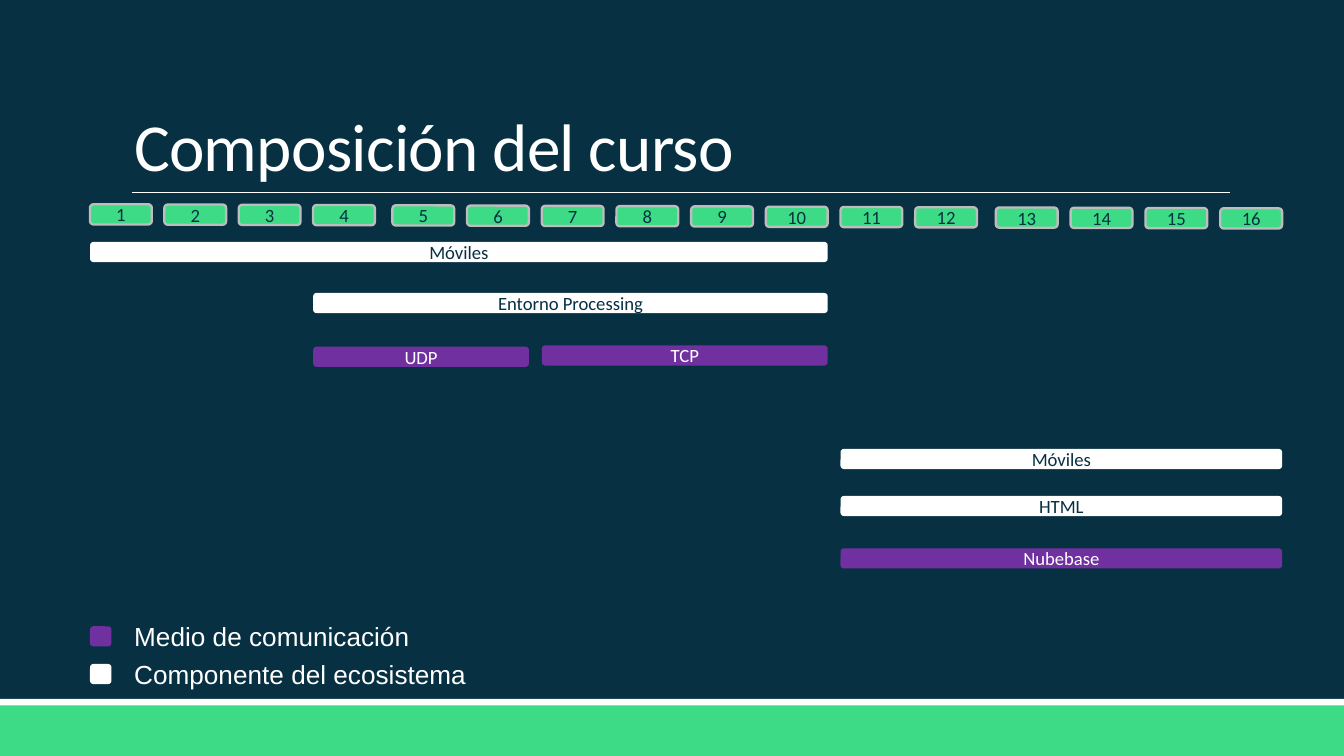
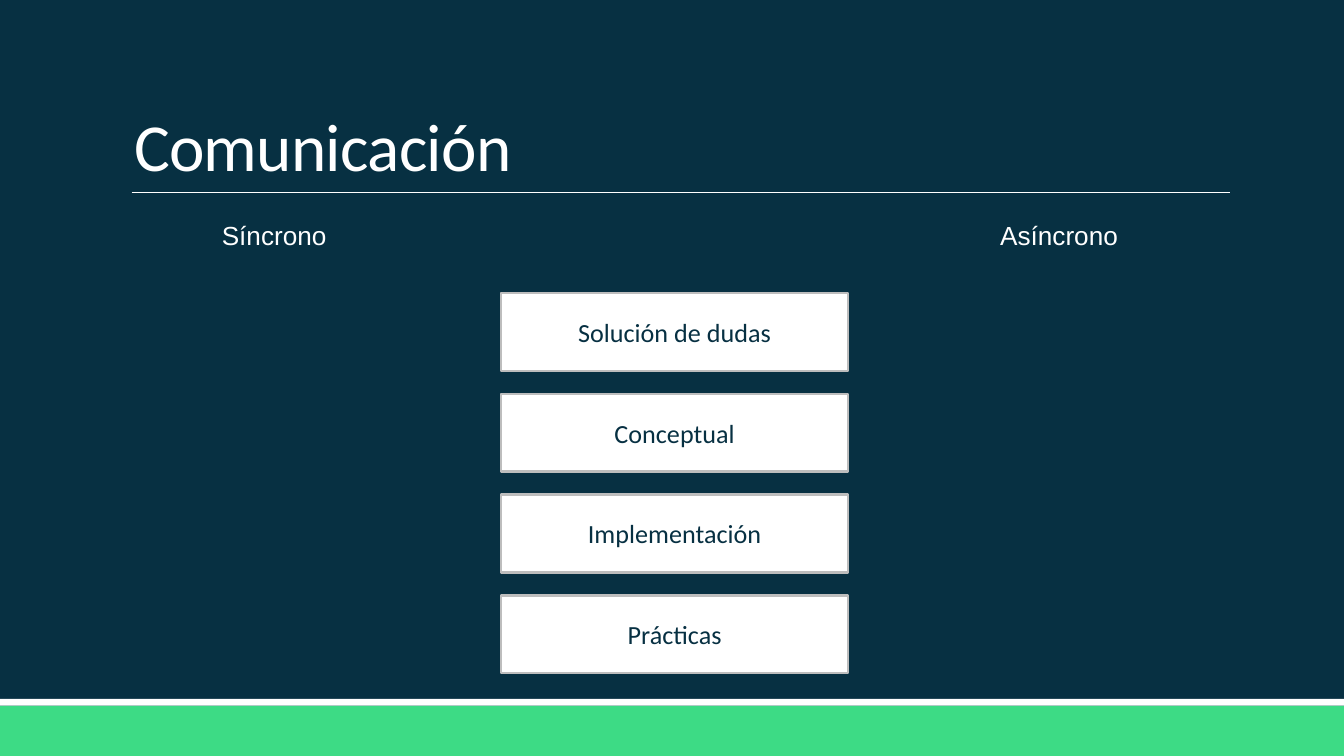
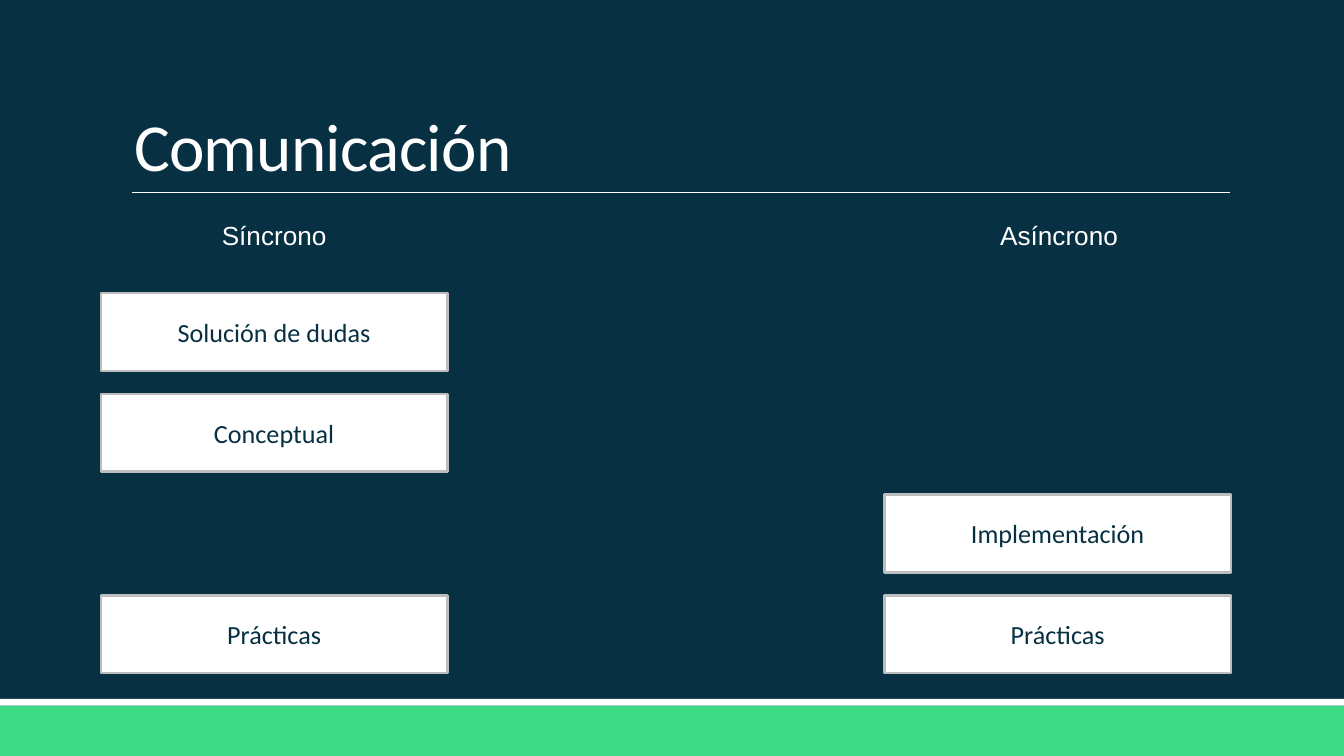
from pptx import Presentation
from pptx.dml.color import RGBColor
from pptx.enum.shapes import MSO_CONNECTOR, MSO_SHAPE
from pptx.enum.text import MSO_ANCHOR, MSO_AUTO_SIZE, PP_ALIGN
from pptx.oxml.ns import qn
from pptx.util import Inches, Pt
from lxml.etree import SubElement

WIDTH = 10
HEIGHT = WIDTH * 9 / 16
NAVY, GREEN, WHITE, PURPLE, GREY = "073042", "3DDB85", "FFFFFF", "7030A0", "BDBDBD"
HEAD, BODY = "Calibri", "Arial"

# Slide 1: blocks of weeks, each (first, last, left of first, left of last)
WEEK_BLOCKS = [(1, 4, 0.67, 2.33), (5, 12, 2.92, 6.81), (13, 16, 7.41, 9.08)]
WEEKS = 16
WEEK_W, BAR_H = 0.46, 0.15
FIRST_TOP, LAST_TOP = 1.52, 1.55

COMPONENT, MEDIUM = (WHITE, NAVY), (PURPLE, WHITE)  # fill, text colour
COURSE_BARS = [  # text, first week, last week, top, kind
    ("Móviles", 1, 10, 1.8, COMPONENT),
    ("Entorno Processing", 4, 10, 2.18, COMPONENT),
    ("UDP", 4, 6, 2.58, MEDIUM),
    ("TCP", 7, 10, 2.57, MEDIUM),
    ("Móviles", 11, 16, 3.34, COMPONENT),
    ("HTML", 11, 16, 3.69, COMPONENT),
    ("Nubebase", 11, 16, 4.08, MEDIUM),
]
LEGEND = [("Medio de comunicación", 2.49, PURPLE),
          ("Componente del ecosistema", 2.84, WHITE)]
LEGEND_TOP, LEGEND_STEP = 4.57, 0.28

# Slides 2 and 3: the columns that hold each topic, row by row
HEADINGS = [("Síncrono", 0.83), ("Asíncrono", 6.67)]
CARD_LEFT = {"sync": 0.75, "middle": 3.73, "async": 6.58}
CARD_W, CARD_H, CARD_TOP, CARD_STEP = 2.58, 0.58, 2.18, 0.75
TOPICS = ["Solución de dudas", "Conceptual", "Implementación", "Prácticas"]
UNSORTED = [["middle"]] * len(TOPICS)
SORTED = [["sync"], ["sync"], ["async"], ["sync", "async"]]


def color(hex_code):
    """Turn a hex string into a colour."""
    return RGBColor.from_string(hex_code)


def write(tf, text, size, font, hex_code, align=PP_ALIGN.LEFT):
    """Write one formatted paragraph and return it with its run."""
    p = tf.paragraphs[0]
    p.alignment = align
    r = p.add_run()
    r.text = text
    for name, value in {"size": Pt(size), "name": font}.items():
        setattr(r.font, name, value)
    r.font.color.rgb = color(hex_code)
    return p, r


def add_box(s, kind, box, fill, line=None, text=None, size=10, text_color=NAVY):
    """Add a flat preset shape, with centred text if there is any."""
    sp = s.shapes.add_shape(kind, *map(Inches, box))
    sp.shadow.inherit = False
    sp.fill.solid()
    sp.fill.fore_color.rgb = color(fill)
    if line:
        sp.line.color.rgb = color(line)
        sp.line.width = Pt(1.25)
    else:
        sp.line.fill.background()
    if text:
        tf = sp.text_frame
        layout = {"margin_left": 0, "margin_right": 0, "margin_top": 0,
                  "margin_bottom": 0, "vertical_anchor": MSO_ANCHOR.MIDDLE}
        for name, value in layout.items():
            setattr(tf, name, value)
        write(tf, text, size, HEAD, text_color, PP_ALIGN.CENTER)


def add_label(s, box, text, align=PP_ALIGN.LEFT):
    """Add a white body label."""
    tf = s.shapes.add_textbox(*map(Inches, box)).text_frame
    tf.word_wrap = True
    tf.auto_size = MSO_AUTO_SIZE.SHAPE_TO_FIT_TEXT
    write(tf, text, 14, BODY, WHITE, align)


def new_slide(prs, title):
    """Add a slide with the shared background, bands, rule and title."""
    s = prs.slides.add_slide(prs.slide_layouts[6])
    s.background.fill.solid()
    s.background.fill.fore_color.rgb = color(NAVY)
    add_box(s, MSO_SHAPE.RECTANGLE, (0, 5.25, WIDTH, HEIGHT - 5.25), GREEN)
    add_box(s, MSO_SHAPE.RECTANGLE, (0, 5.2, WIDTH, 0.05), WHITE)
    rule = s.shapes.add_connector(MSO_CONNECTOR.STRAIGHT,
                                  *map(Inches, (0.98, 1.43, 9.15, 1.43)))
    rule.line.color.rgb = color(WHITE)
    rule.line.width = Pt(0.5)
    SubElement(rule._element.spPr, qn("a:effectLst"))

    tf = s.shapes.add_textbox(*map(Inches, (0.9, 0.24, 8.25, 1.19))).text_frame
    tf.word_wrap = True
    tf.vertical_anchor = MSO_ANCHOR.BOTTOM
    p, r = write(tf, title, 36, HEAD, WHITE)
    p.line_spacing = 0.85
    r.font._element.set("spc", "-40")
    return s


def week_left(week):
    """Return the left edge of a week's box, evenly spaced in its block."""
    first, last, start, end = next(b for b in WEEK_BLOCKS if week <= b[1])
    return start + (end - start) * (week - first) / (last - first)


def course_slide(prs):
    """Build the timeline of the course with its legend."""
    s = new_slide(prs, "Composición del curso")
    rounded = MSO_SHAPE.ROUNDED_RECTANGLE
    for week in range(1, WEEKS + 1):
        top = FIRST_TOP + (LAST_TOP - FIRST_TOP) * (week - 1) / (WEEKS - 1)
        add_box(s, rounded, (week_left(week), top, WEEK_W, BAR_H),
                GREEN, GREY, str(week))
    for text, first, last, top, (fill, text_color) in COURSE_BARS:
        left = week_left(first)
        width = week_left(last) + WEEK_W - left
        add_box(s, rounded, (left, top, width, BAR_H), fill,
                text=text, text_color=text_color)
    for i, (text, width, fill) in enumerate(LEGEND):
        top = LEGEND_TOP + i * LEGEND_STEP
        add_box(s, rounded, (week_left(1), top + 0.09, 0.16, BAR_H), fill)
        add_label(s, (0.9, top, width, 0.34), text)


def communication_slide(prs, columns):
    """Build the two headings and place each topic in its columns."""
    s = new_slide(prs, "Comunicación")
    for text, left in HEADINGS:
        add_label(s, (left, 1.58, 2.42, 0.34), text, PP_ALIGN.CENTER)
    for row, (text, places) in enumerate(zip(TOPICS, columns)):
        for place in places:
            box = (CARD_LEFT[place], CARD_TOP + row * CARD_STEP, CARD_W, CARD_H)
            add_box(s, MSO_SHAPE.RECTANGLE, box, WHITE, GREY, text, 14)


prs = Presentation()
prs.slide_width, prs.slide_height = Inches(WIDTH), Inches(HEIGHT)
course_slide(prs)
for columns in (UNSORTED, SORTED):
    communication_slide(prs, columns)
prs.save("out.pptx")
